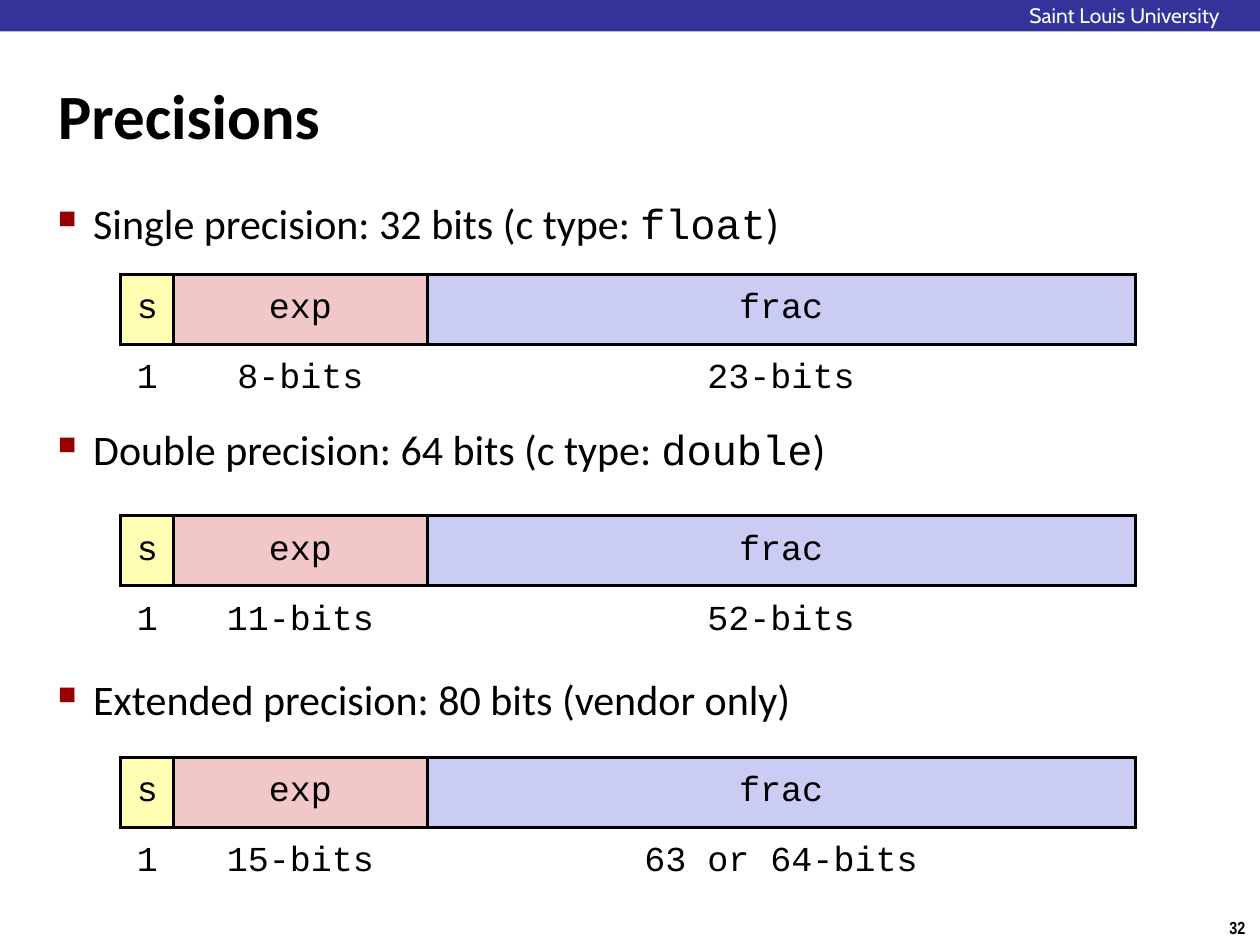
from lxml import etree
from pptx import Presentation
from pptx import util as u
from pptx.dml.color import RGBColor
from pptx.enum import shapes, text
from pptx.oxml.ns import qn

COLUMNS, ROWS = 100, 75  # grid over a 10 x 7.5 inch slide
BLACK, WHITE, BAND, MARKER = "000000", "FFFFFF", "333399", "990000"
BODY, CODE = "Calibri", "Courier New"


def color(hex_code):
    return RGBColor.from_string(hex_code)


class Deck:
    def __init__(self):
        self.file = Presentation()
        self.file.slide_width, self.file.slide_height = u.Inches(10), u.Inches(7.5)
        self.slide = self.file.slides.add_slide(self.file.slide_layouts[6])

    def place(self, left, top, width, height):
        across, down = self.file.slide_width / COLUMNS, self.file.slide_height / ROWS
        return [u.Emu(round(n)) for n in
                (left * across, top * down, width * across, height * down)]

    def run(self, paragraph, words, size, font=BODY, tint=BLACK, bold=False):
        run = paragraph.add_run()
        run.text = words
        run.font.size, run.font.name, run.font.bold = u.Pt(size), font, bold
        run.font.color.rgb = color(tint)

    def band(self, area, fill):
        band = self.slide.shapes.add_shape(shapes.MSO_SHAPE.RECTANGLE, *self.place(*area))
        band.shadow.inherit = False
        band.fill.solid()
        band.fill.fore_color.rgb = color(fill)
        band.line.fill.background()

    def box(self, area, inset=0.04, wrap=True, anchor=text.MSO_ANCHOR.TOP):
        frame = self.slide.shapes.add_textbox(*self.place(*area)).text_frame
        frame.word_wrap, frame.vertical_anchor = wrap, anchor
        frame.margin_left = frame.margin_right = u.Inches(inset)
        frame.margin_top = frame.margin_bottom = u.Inches(inset)
        return frame

    def bullet(self, paragraph, runs, space_before):
        props = paragraph._p.get_or_add_pPr()
        props.set("marL", str(u.Inches(0.28)))
        props.set("indent", str(-u.Inches(0.28)))
        tint = etree.SubElement(props, qn("a:buClr"))
        etree.SubElement(tint, qn("a:srgbClr"), val=MARKER)
        etree.SubElement(props, qn("a:buSzPct"), val="60000")
        etree.SubElement(props, qn("a:buChar"), char="■")
        if space_before:
            paragraph.space_before = u.Pt(space_before)
        for words, font in runs:
            self.run(paragraph, words, 24, font)

    def borders(self, cell, drawn):
        props = cell._tc.get_or_add_tcPr()
        for place, side in enumerate("LRTB"):
            line = etree.Element(qn("a:ln" + side), w=str(u.Pt(2)))
            if side in drawn:
                fill = etree.SubElement(line, qn("a:solidFill"))
                etree.SubElement(fill, qn("a:srgbClr"), val=BLACK)
            else:
                etree.SubElement(line, qn("a:noFill"))
            props.insert(place, line)

    def bit_layout(self, area, widths, fields, bits):
        table = self.slide.shapes.add_table(2, len(fields), *self.place(*area)).table
        table.first_row = table.horz_banding = False
        for column, width in zip(table.columns, widths):
            column.width = self.place(0, 0, width, 0)[2]
        for i, ((name, fill), count) in enumerate(zip(fields, bits)):
            field, size = table.cell(0, i), table.cell(1, i)
            field.fill.solid()
            field.fill.fore_color.rgb = color(fill)
            size.fill.background()
            for cell, words, drawn in ((field, name, "LRTB"), (size, count, "T")):
                self.borders(cell, drawn)
                cell.vertical_anchor = text.MSO_ANCHOR.MIDDLE
                cell.margin_left = cell.margin_right = u.Inches(0.06)
                cell.margin_top = cell.margin_bottom = u.Inches(0.06)
                paragraph = cell.text_frame.paragraphs[0]
                paragraph.alignment = text.PP_ALIGN.CENTER
                self.run(paragraph, words, 20, CODE)


FIELDS = [("s", "FFFEB2"), ("exp", "F1C7C7"), ("frac", "CBCCF3")]
FIELD_WIDTHS = [4.2, 20.1, 56.2]

# Each precision: bullet runs, space before, bits per field
PRECISIONS = [
    ([("Single precision: 32 bits (c type: ", BODY), ("float", CODE), (")", BODY)],
     0, ["1", "8-bits", "23-bits"]),
    ([("Double precision: 64 bits (c type: ", BODY), ("double", CODE), (")", BODY)],
     100, ["1", "11-bits", "52-bits"]),
    ([("Extended precision: 80 bits (vendor only)", BODY)],
     114, ["1", "15-bits", "63 or 64-bits"]),
]


def main():
    deck = Deck()

    # Slide number and header band
    number = deck.box((96.5, 72.3, 3.4, 2.7), 0.05, wrap=False).paragraphs[0]
    number.alignment = text.PP_ALIGN.CENTER
    deck.run(number, "32", 10, "Arial Narrow", bold=True)
    deck.band((0, 0, 100, 2.5), BAND)
    school = deck.box((81.7, 0.2, 16.7, 1.9), 0).paragraphs[0]
    deck.run(school, "Saint Louis University", 12, "Cabin", WHITE)

    # Title
    title = deck.box((4.2, 2.8, 91.7, 12.5), anchor=text.MSO_ANCHOR.MIDDLE)
    deck.run(title.paragraphs[0], "Precisions", 36, bold=True)

    # Bullets, each with its bit layout below
    body = deck.box((4.2, 15.3, 91.7, 59.4))
    for i, (runs, space_before, bits) in enumerate(PRECISIONS):
        paragraph = body.add_paragraph() if i else body.paragraphs[0]
        deck.bullet(paragraph, runs, space_before)
        deck.bit_layout((9.6, 21.8 + 19.15 * i, 80.5, 11.1), FIELD_WIDTHS, FIELDS, bits)

    deck.file.save("out.pptx")


if __name__ == "__main__":
    main()
